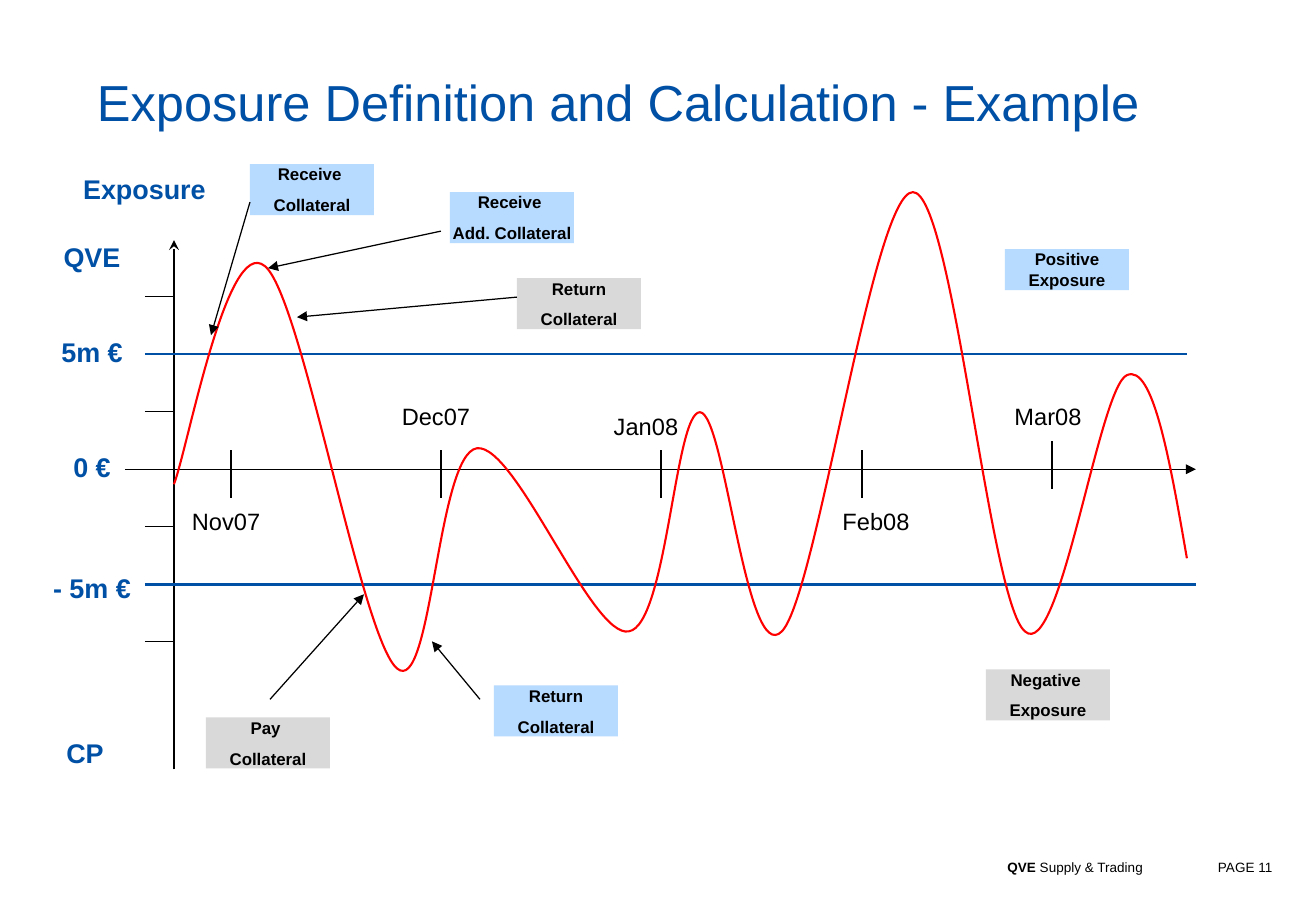
"""Builds the collateral exposure example slide."""
from dataclasses import dataclass

from lxml import etree
from pptx import Presentation
from pptx import util as u
from pptx.dml.color import RGBColor
from pptx.enum import shapes, text
from pptx.oxml.ns import qn

PX = 7532


@dataclass(frozen=True)
class Theme:
    font: str = "Arial"
    blue: str = "0050A6"
    black: str = "000000"
    curve: str = "FF0000"
    receive: str = "B7DAFF"
    pay: str = "D9D9D9"
    title: int = 30
    level: int = 16
    month: int = 14
    callout: int = 10
    footer: int = 8
    thin: float = 0.75
    limit: float = 1.5
    wave: float = 1.25


THEME = Theme()
LEFT, CENTER, RIGHT = text.PP_ALIGN.LEFT, text.PP_ALIGN.CENTER, text.PP_ALIGN.RIGHT
TOP, BOTTOM = text.MSO_ANCHOR.TOP, text.MSO_ANCHOR.BOTTOM

TITLE = "Exposure Definition and Calculation - Example"
ZERO_Y, PX_PER_MILLION = 469, 23
AXIS_X, TICK_X = 174, 145
TICK_LEVELS = [7.5, 2.5, -2.5, -7.5]
LIMITS = [(5, 1187), (-5, 1196)]
LABEL_WIDTH = 86
LEVEL_LABELS = [
    ("Exposure", 25, 172, 239),
    ("QVE", 49, 240, LABEL_WIDTH),
    ("5m €", 49, 335, LABEL_WIDTH),
    ("0 €", 49, 450, LABEL_WIDTH),
    ("- 5m €", 49, 571, LABEL_WIDTH),
    ("CP", 42, 736, LABEL_WIDTH),
]
MONTHS = [
    ("Nov07", 231, 450, 183, 507),
    ("Dec07", 441, 450, 393, 402),
    ("Jan08", 661, 450, 603, 412),
    ("Feb08", 862, 450, 833, 507),
    ("Mar08", 1052, 441, 1005, 402),
]
CALLOUTS = [
    ("Receive \nCollateral", 250, 164, 51, THEME.receive),
    ("Receive \nAdd. Collateral", 450, 192, 51, THEME.receive),
    ("Return\nCollateral", 517, 278, 51, THEME.pay),
    ("Pay \nCollateral", 206, 717, 51, THEME.pay),
    ("Return\nCollateral", 494, 685, 51, THEME.receive),
    ("Positive Exposure", 1005, 249, 41, THEME.receive),
    ("Negative \nExposure", 986, 669, 51, THEME.pay),
]
ARROWS = [
    (250, 202, 211, 335),
    (441, 231, 268, 268),
    (517, 297, 297, 317),
    (270, 699, 364, 594),
    (480, 699, 432, 641),
]
CURVE_START = (174, 484)
CURVE_BENDS = [
    [(188, 448), (227, 234), (265, 266)],
    [(302, 296), (361, 637), (397, 668)],
    [(432, 698), (437, 454), (477, 448)],
    [(516, 443), (592, 639), (629, 631)],
    [(667, 625), (675, 412), (700, 412)],
    [(725, 412), (746, 668), (782, 631)],
    [(817, 595), (873, 192), (913, 192)],
    [(953, 192), (989, 601), (1025, 631)],
    [(1060, 663), (1099, 387), (1127, 375)],
    [(1153, 363), (1170, 460), (1187, 558)],
]


def px(*lengths):
    return [u.Emu(round(length * PX)) for length in lengths]


def level_y(millions):
    return ZERO_Y - millions * PX_PER_MILLION


def write(shape, words, size, color=THEME.black, bold=False, align=CENTER, anchor=TOP):
    frame = shape.text_frame
    frame.text = words
    frame.word_wrap = True
    frame.vertical_anchor = anchor
    frame.margin_left = frame.margin_top = frame.margin_right = frame.margin_bottom = 0
    for index, para in enumerate(frame.paragraphs):
        para.alignment = align
        para.space_before = u.Pt(6.2 if index else 0)
        for span in para.runs:
            span.font.name = THEME.font
            span.font.size = u.Pt(size)
            span.font.bold = bold
            span.font.color.rgb = RGBColor.from_string(color)
    return frame


def add_label(slide, words, left, top, width, height, size, **style):
    box = slide.shapes.add_textbox(*px(left, top, width, height))
    return write(box, words, size, **style)


def add_line(slide, x1, y1, x2, y2, color=THEME.black, weight=THEME.thin, arrow=None):
    line = slide.shapes.add_connector(shapes.MSO_CONNECTOR.STRAIGHT, *px(x1, y1, x2, y2))
    line.line.color.rgb = RGBColor.from_string(color)
    line.line.width = u.Pt(weight)
    if arrow:
        outline = line.line._get_or_add_ln()
        etree.SubElement(outline, qn("a:tailEnd"), type=arrow)
    etree.SubElement(line.element.spPr, qn("a:effectLst"))


def add_callout(slide, words, left, top, height, fill):
    box = slide.shapes.add_shape(
        shapes.MSO_SHAPE.RECTANGLE, *px(left, top, 124, height))
    box.shadow.inherit = False
    box.fill.solid()
    box.fill.fore_color.rgb = RGBColor.from_string(fill)
    box.line.fill.background()
    write(box, words, THEME.callout, bold=True)


def add_curve(slide):
    builder = slide.shapes.build_freeform(*CURVE_START, scale=PX)
    builder.add_line_segments([point for bend in CURVE_BENDS for point in bend], close=False)
    curve = builder.convert_to_shape()
    curve.shadow.inherit = False
    curve.fill.background()
    curve.line.color.rgb = RGBColor.from_string(THEME.curve)
    curve.line.width = u.Pt(THEME.wave)
    outline = next(curve.element.iter(qn("a:path")))
    segments = outline.findall(qn("a:lnTo"))
    for start in range(0, len(segments), 3):
        bend = etree.SubElement(outline, qn("a:cubicBezTo"))
        for segment in segments[start:start + 3]:
            bend.append(segment[0])
            outline.remove(segment)


def add_axes(slide):
    add_line(slide, 125, ZERO_Y, 1196, ZERO_Y, arrow="triangle")
    add_line(slide, AXIS_X, 769, AXIS_X, 240, arrow="stealth")
    for level in TICK_LEVELS:
        add_line(slide, TICK_X, level_y(level), AXIS_X, level_y(level))
    for level, end in LIMITS:
        add_line(slide, TICK_X, level_y(level), end, level_y(level), THEME.blue, THEME.limit)
    for words, left, top, width in LEVEL_LABELS:
        add_label(slide, words, left, top, width, 33, THEME.level, color=THEME.blue, bold=True)
    for words, tick, tick_top, left, top in MONTHS:
        add_line(slide, tick, tick_top, tick, tick_top + 48)
        add_label(slide, words, left, top, LABEL_WIDTH, 28, THEME.month)


def add_title(slide):
    title = slide.shapes.title
    title.left, title.top, title.width, title.height = px(97, 64, 1121, 83)
    frame = write(title, TITLE, THEME.title, THEME.blue, align=LEFT)
    frame.auto_size = text.MSO_AUTO_SIZE.NONE
    frame.margin_top = px(7)[0]


def add_footer(slide):
    frame = add_label(slide, "QVE", 409, 838, 734, 37, THEME.footer,
                      bold=True, align=RIGHT, anchor=BOTTOM)
    span = frame.paragraphs[0].add_run()
    span.text = " Supply & Trading"
    span.font.name = THEME.font
    span.font.size = u.Pt(THEME.footer)
    span.font.color.rgb = RGBColor.from_string(THEME.black)
    add_label(slide, "PAGE 11", 1218, 838, 83, 37, THEME.footer, align=LEFT, anchor=BOTTOM)


def main():
    deck = Presentation()
    deck.slide_width, deck.slide_height = u.Inches(10.84), u.Inches(7.5)
    slide = deck.slides.add_slide(deck.slide_layouts.get_by_name("Title Only"))
    add_title(slide)
    add_axes(slide)
    for callout in CALLOUTS:
        add_callout(slide, *callout)
    add_curve(slide)
    for arrow in ARROWS:
        add_line(slide, *arrow, arrow="triangle")
    add_footer(slide)
    deck.save("out.pptx")


if __name__ == "__main__":
    main()
